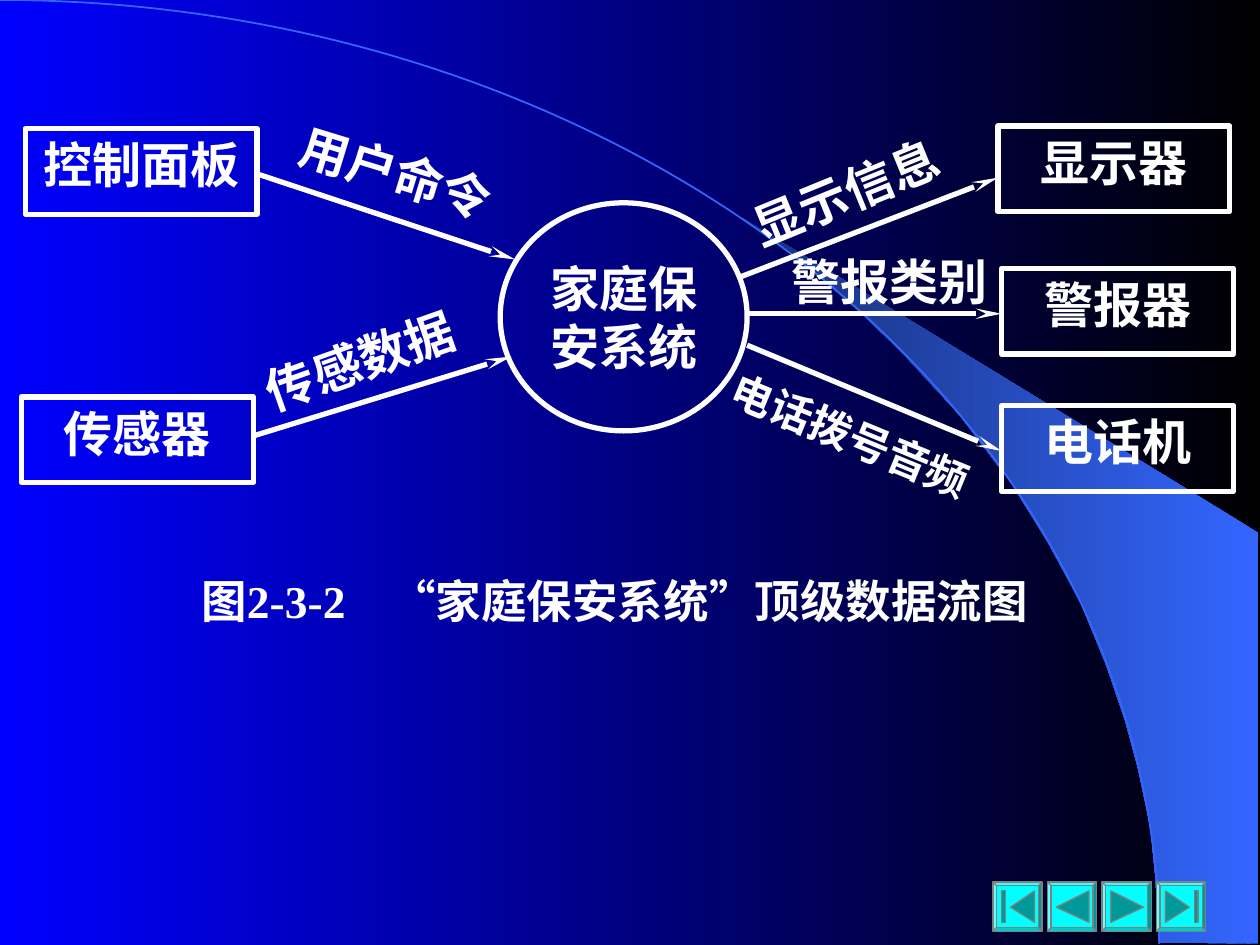
from dataclasses import dataclass
from math import cos, pi, sin

from lxml.etree import SubElement
from pptx import Presentation
from pptx.dml.color import RGBColor
from pptx.enum.shapes import MSO_CONNECTOR, MSO_SHAPE as SHAPE
from pptx.enum.text import MSO_ANCHOR as ANCHOR, PP_ALIGN as ALIGN
from pptx.oxml.ns import qn
from pptx.util import Inches, Pt

FONT = "Times New Roman"
COLORS = {
    "white": "FFFFFF", "black": "000000", "blue": "0000FF",
    "arc": "3366FF", "arc_dark": "172F75",
    "button": "00FFFF", "glyph": "009999", "edge": "808080",
}


@dataclass
class Entity:
    text: str
    left: float
    top: float


@dataclass
class FlowLabel:
    text: str
    left: float
    top: float
    width: float
    height: float
    angle: float = 0
    size: float = 28
    align: ALIGN = ALIGN.CENTER


@dataclass
class Flow:
    start: tuple[float, float]
    end: tuple[float, float]


ENTITIES = [
    Entity("控制面板", 0.2, 1.02),
    Entity("传感器", 0.17, 3.15),
    Entity("显示器", 7.92, 1),
    Entity("警报器", 7.95, 2.13),
    Entity("电话机", 7.95, 3.22),
]
LABELS = [
    FlowLabel("警报类别", 6.28, 2, 1.6, 0.46, align=ALIGN.LEFT),
    FlowLabel("显示信息", 5.84, 1.29, 1.75, 0.48, -22.2),
    FlowLabel("电话拨号音频", 5.74, 3.27, 2.1, 0.44, 22.4, 24, ALIGN.LEFT),
    FlowLabel("传感数据", 2, 2.62, 1.75, 0.59, -19.5),
    FlowLabel("用户命令", 2.25, 1.13, 1.75, 0.59, 17),
]
FLOWS = [
    Flow((2.04, 1.38), (4.09, 2.06)),
    Flow((2.01, 3.46), (4.06, 2.83)),
    Flow((5.87, 2.2), (7.92, 1.41)),
    Flow((5.93, 2.49), (7.95, 2.49)),
    Flow((5.93, 2.74), (7.95, 3.58)),
]
SWOOSH = [
    (9.2, 7.48), (9.99, 7.49), (9.99, 4.23), (5.89, 1.73), (6.24, 1.99),
    (6.53, 2.22), (6.85, 2.5), (7.16, 2.8), (7.62, 3.3), (8.03, 3.84),
    (8.32, 4.31), (8.58, 4.79), (8.78, 5.28), (8.93, 5.72), (9.03, 6.09),
    (9.13, 6.56), (9.17, 6.96),
]
BAR_LEFT = [(0.07, 0.07), (0.1, 0.07), (0.1, 0.32), (0.07, 0.32)]
BAR_RIGHT = [(0.3, 0.07), (0.33, 0.07), (0.33, 0.32), (0.3, 0.32)]
BUTTONS = [
    [[(0.14, 0.2), (0.33, 0.07), (0.33, 0.32)], BAR_LEFT],
    [[(0.07, 0.2), (0.33, 0.07), (0.33, 0.32)]],
    [[(0.07, 0.07), (0.33, 0.2), (0.07, 0.32)]],
    [[(0.26, 0.2), (0.07, 0.32), (0.07, 0.07)], BAR_RIGHT],
]


def rgb(name: str) -> RGBColor:
    return RGBColor.from_string(COLORS[name])


def paint(s, fill: str | None, line: str | None, width: float = 0.75) -> None:
    s.shadow.inherit = False
    if fill:
        s.fill.solid()
        s.fill.fore_color.rgb = rgb(fill)
    else:
        s.fill.background()
    if line:
        s.line.color.rgb = rgb(line)
        s.line.width = Pt(width)
    else:
        s.line.fill.background()


def set_gradient(fill, first: str, last: str) -> None:
    fill.gradient()
    fill.gradient_angle = 180
    for stop, name in zip(fill.gradient_stops, (first, last)):
        stop.color.rgb = rgb(name)


def write(s, lines: list[str], size: float, align: ALIGN, inset: bool = True,
          wrap: bool = True, anchor: ANCHOR = ANCHOR.TOP) -> None:
    tf = s.text_frame
    tf.word_wrap = wrap
    tf.vertical_anchor = anchor
    tf.margin_left = tf.margin_right = Inches(0.1 if inset else 0)
    tf.margin_top = tf.margin_bottom = Inches(0.05 if inset else 0)
    tf.text = "\n".join(lines)
    for p in tf.paragraphs:
        p.alignment = align
        p.font.name = FONT
        p.font.size = Pt(size)
        p.font.bold = True
        p.font.color.rgb = rgb("white")


def add_outline(shapes, points: list[tuple[float, float]], closed: bool = True):
    emu = [(Inches(x), Inches(y)) for x, y in points]
    builder = shapes.build_freeform(*emu[0])
    builder.add_line_segments(emu[1:], close=closed)
    return builder.convert_to_shape()


def add_backdrop(shapes) -> None:
    s = add_outline(shapes, SWOOSH)
    paint(s, None, None)
    set_gradient(s.fill, "arc", "arc_dark")
    steps = 90
    angles = [pi / 2 * i / steps for i in range(steps + 1)]
    arc = [(9.2 * sin(a), 7.49 * (1 - cos(a))) for a in angles]
    paint(add_outline(shapes, arc, closed=False), None, "arc", 1)


def add_caption(shapes) -> None:
    s = shapes.add_textbox(Inches(1.5), Inches(4.5), Inches(6.92), Inches(0.58))
    p = s.text_frame.paragraphs[0]
    tabs = SubElement(p._p.get_or_add_pPr(), qn("a:tabLst"))
    SubElement(tabs, qn("a:tab"), pos=str(Inches(1.48)), algn="l")
    write(s, ["图2-3-2\t“家庭保安系统”顶级数据流图"], 26, ALIGN.LEFT)


def add_button(shapes, left: float, glyphs: list) -> None:
    top, side = 7, 0.39
    s = shapes.add_shape(SHAPE.BEVEL, Inches(left), Inches(top), Inches(side), Inches(side))
    s.adjustments[0] = 0.07
    paint(s, "button", "edge")
    for glyph in glyphs:
        points = [(left + x, top + y) for x, y in glyph]
        paint(add_outline(shapes, points), "glyph", "edge")


def add_label(shapes, label: FlowLabel) -> None:
    s = shapes.add_textbox(Inches(label.left), Inches(label.top),
                           Inches(label.width), Inches(label.height))
    s.rotation = label.angle
    write(s, [label.text], label.size, label.align, inset=False)


def add_process(shapes) -> None:
    s = shapes.add_shape(SHAPE.OVAL, Inches(3.97), Inches(1.61), Inches(1.96), Inches(1.81))
    paint(s, None, "white", 3)
    write(s, ["家庭保", "安系统"], 28, ALIGN.CENTER, inset=False, wrap=False,
          anchor=ANCHOR.MIDDLE)


def add_entity(shapes, entity: Entity) -> None:
    s = shapes.add_shape(SHAPE.RECTANGLE, Inches(entity.left), Inches(entity.top),
                         Inches(1.84), Inches(0.68))
    paint(s, None, "white", 3)
    write(s, [entity.text], 28, ALIGN.CENTER)


def add_flow(shapes, flow: Flow) -> None:
    ends = [Inches(v) for v in (*flow.start, *flow.end)]
    s = shapes.add_connector(MSO_CONNECTOR.STRAIGHT, *ends)
    s.line.color.rgb = rgb("white")
    s.line.width = Pt(3)
    SubElement(s.line._get_or_add_ln(), qn("a:tailEnd"), type="stealth", w="sm", len="lg")
    SubElement(s._element.spPr, qn("a:effectLst"))


def main() -> None:
    prs = Presentation()
    prs.slide_width, prs.slide_height = Inches(10), Inches(7.5)
    slide = prs.slides.add_slide(prs.slide_layouts[6])
    set_gradient(slide.background.fill, "black", "blue")
    shapes = slide.shapes
    add_backdrop(shapes)
    add_caption(shapes)
    for i, glyphs in enumerate(BUTTONS):
        add_button(shapes, 7.88 + 0.433 * i, glyphs)
    for label in LABELS:
        add_label(shapes, label)
    add_process(shapes)
    for entity in ENTITIES:
        add_entity(shapes, entity)
    for flow in FLOWS:
        add_flow(shapes, flow)
    prs.save("out.pptx")


if __name__ == "__main__":
    main()
